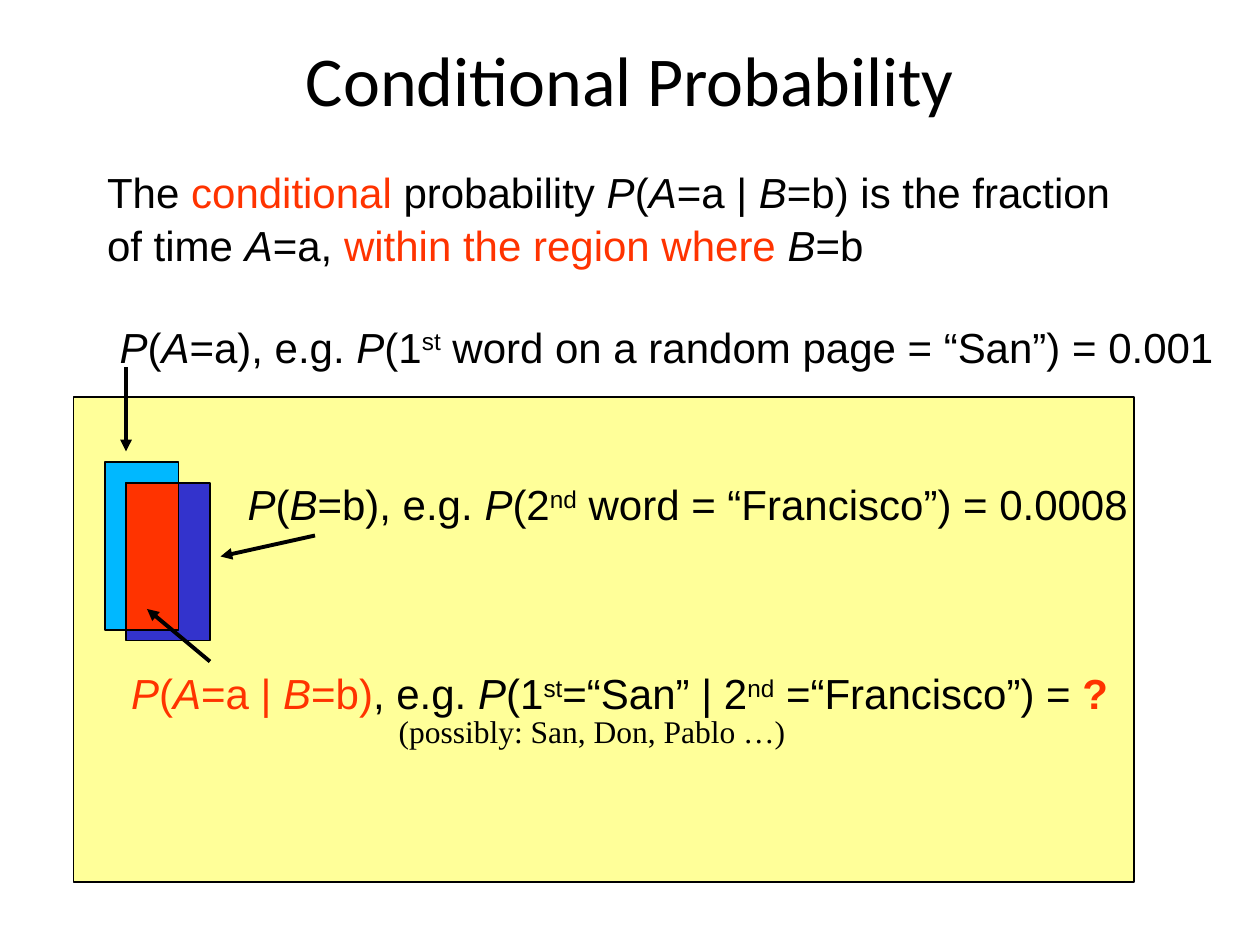
from dataclasses import dataclass

from lxml import etree
from pptx import Presentation, util as u
from pptx.dml.color import RGBColor
from pptx.enum import shapes, text
from pptx.oxml.ns import qn


@dataclass(frozen=True)
class Theme:
    """Colours, fonts and type sizes of the slide."""
    ink: str = "000000"
    accent: str = "FF3300"
    everything: str = "FFFF99"
    event_a: str = "00B8FF"
    event_b: str = "3333CC"
    heading_font: str = "Calibri"
    body_font: str = "Arial"
    aside_font: str = "Times New Roman"
    heading_size: int = 40
    body_size: int = 24
    aside_size: int = 18
    outline: float = 0.75
    arrow: float = 2.25


def write(frame, content, *, font, size, ink, accent, align=text.PP_ALIGN.LEFT,
          before=0, spacing=1.0):
    """Write one paragraph; * toggles italic, ^ superscript, ~ accent, ! bold."""
    paragraph = frame.paragraphs[0]
    paragraph.alignment = align
    paragraph.space_before = u.Pt(before)
    paragraph.line_spacing = spacing
    active = dict.fromkeys("*^~!", False)
    piece = ""
    for character in content + "*":
        if character not in active:
            piece += character
            continue
        if piece:
            run = paragraph.add_run()
            run.text = piece
            run.font.name = font
            run.font.size = u.Pt(size)
            run.font.italic = active["*"]
            run.font.bold = active["!"]
            run.font.color.rgb = RGBColor.from_string(accent if active["~"] else ink)
            if active["^"]:
                run.font._element.set("baseline", "30000")
        piece = ""
        active[character] = not active[character]
    return paragraph


class Deck:
    """Hold the theme and current slide on a grid of 120 columns by 90 rows."""

    def __init__(self, theme):
        """Start a presentation with one title-and-content slide."""
        self.theme = theme
        self.presentation = Presentation()
        self.presentation.slide_width = u.Inches(10)
        self.presentation.slide_height = u.Inches(7.5)
        self.cell = self.presentation.slide_width / 120
        self.slide = self.presentation.slides.add_slide(self.presentation.slide_layouts[1])

    def grid(self, *cells):
        """Turn grid cells into lengths."""
        return [u.Emu(round(cell * self.cell)) for cell in cells]

    def place(self, shape, *box):
        """Move a placeholder to a grid box and return its text frame."""
        shape.left, shape.top, shape.width, shape.height = self.grid(*box)
        shape.text_frame.auto_size = text.MSO_AUTO_SIZE.NONE
        return shape.text_frame

    def title(self, content, *box):
        """Fill the title placeholder."""
        frame = self.place(self.slide.shapes.title, *box)
        frame.vertical_anchor = text.MSO_ANCHOR.MIDDLE
        write(frame, content, font=self.theme.heading_font, size=self.theme.heading_size,
              ink=self.theme.ink, accent=self.theme.accent, align=text.PP_ALIGN.CENTER)

    def body(self, content, *box):
        """Fill the body placeholder with an unbulleted statement."""
        frame = self.place(self.slide.placeholders[1], *box)
        paragraph = write(frame, content, font=self.theme.body_font,
                          size=self.theme.body_size, ink=self.theme.ink,
                          accent=self.theme.accent, before=6, spacing=1.05)
        properties = paragraph._p.get_or_add_pPr()
        properties.set("marL", "0")
        properties.set("indent", "0")
        etree.SubElement(properties, qn("a:buNone"))

    def label(self, content, *box, font=None, size=None):
        """Add a one-line text box."""
        frame = self.slide.shapes.add_textbox(*self.grid(*box)).text_frame
        frame.word_wrap = False
        frame.auto_size = text.MSO_AUTO_SIZE.SHAPE_TO_FIT_TEXT
        write(frame, content, font=font or self.theme.body_font,
              size=size or self.theme.body_size, ink=self.theme.ink,
              accent=self.theme.accent)

    def region(self, color, *box):
        """Add an outlined rectangle."""
        shape = self.slide.shapes.add_shape(shapes.MSO_SHAPE.RECTANGLE, *self.grid(*box))
        shape.shadow.inherit = False
        shape.fill.solid()
        shape.fill.fore_color.rgb = RGBColor.from_string(color)
        shape.line.color.rgb = RGBColor.from_string(self.theme.ink)
        shape.line.width = u.Pt(self.theme.outline)

    def arrow(self, *ends):
        """Add an arrow that points at its second end."""
        connector = self.slide.shapes.add_connector(
            shapes.MSO_CONNECTOR.STRAIGHT, *self.grid(*ends))
        connector.line.color.rgb = RGBColor.from_string(self.theme.ink)
        connector.line.width = u.Pt(self.theme.arrow)
        etree.SubElement(connector.line._get_or_add_ln(), qn("a:tailEnd"), type="triangle")
        etree.SubElement(connector._element.spPr, qn("a:effectLst"))


def main():
    """Build and save the conditional probability slide."""
    theme = Theme()
    deck = Deck(theme)
    deck.title("Conditional Probability", 9, 0, 102, 15)
    deck.body("The ~conditional~ probability *P*(*A*=a | *B*=b) is the fraction of time "
              "*A*=a, ~within the region where ~*B*=b", 9, 15, 102, 69)

    deck.region(theme.everything, 7, 37.8, 101, 46.2)
    deck.region(theme.event_a, 10, 44, 7, 16)
    deck.region(theme.event_b, 12, 46, 8, 15)
    deck.region(theme.accent, 12, 46, 5, 14)

    deck.label("*P*(*B*=b), e.g. *P*(2^nd^ word = “Francisco”) = 0.0008",
               22.4, 45, 87.4, 6.1)
    deck.label("*P*(*A*=a), e.g. *P*(1^st^ word on a random page = “San”) = 0.001",
               10.2, 30, 107.9, 6.1)
    deck.arrow(12, 35, 12, 43)
    deck.arrow(30, 51, 21, 53)
    deck.arrow(20, 63, 14, 58)
    deck.label("~*P*(*A*=a | *B*=b)~, e.g. *P*(1^st^=“San” | 2^nd^ =“Francisco”) = ~!?!~",
               11.3, 63, 97.2, 6.1)
    deck.label("(possibly: San, Don, Pablo …)", 36.8, 67.2, 39.6, 4.9,
               font=theme.aside_font, size=theme.aside_size)
    deck.presentation.save("out.pptx")


if __name__ == "__main__":
    main()
